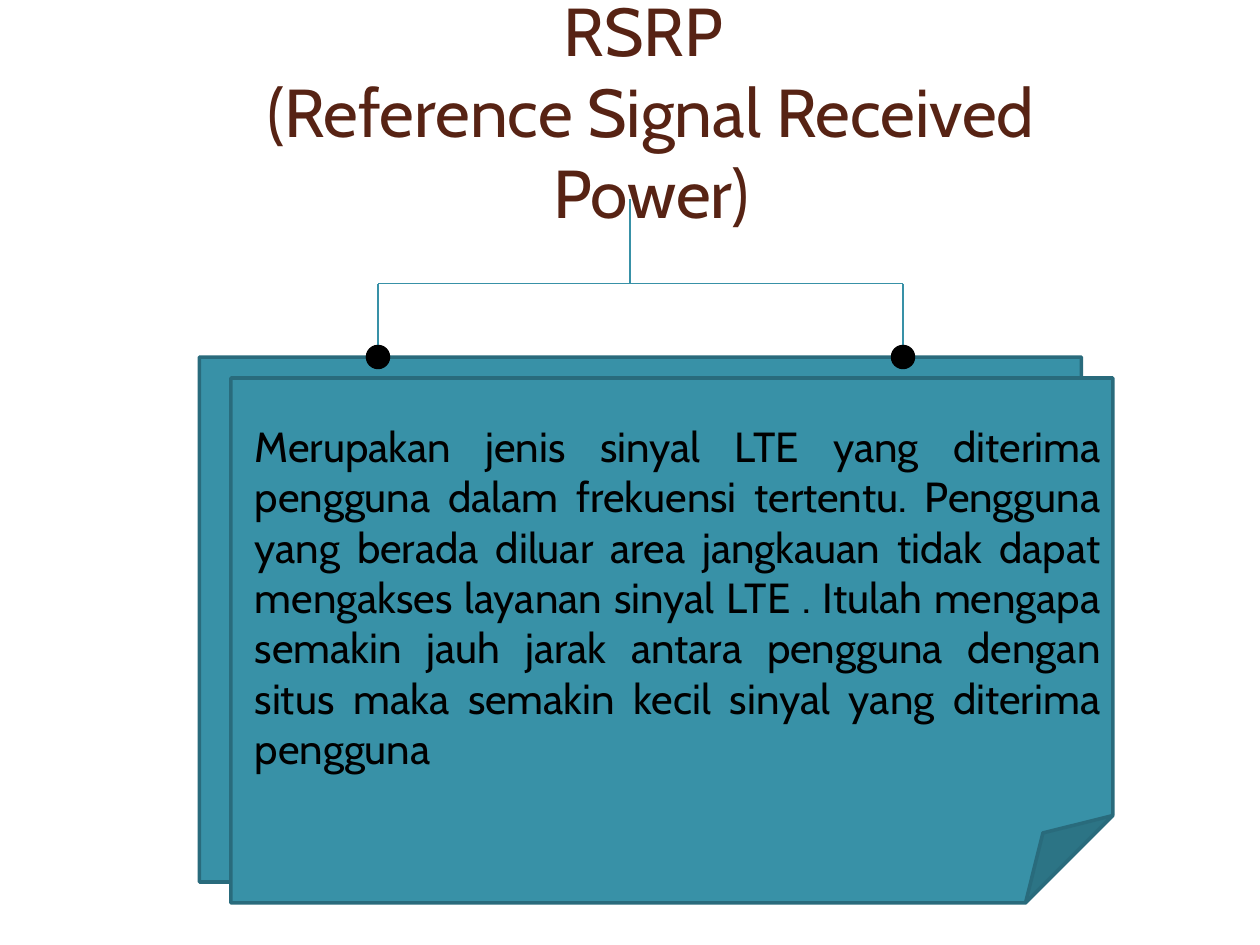
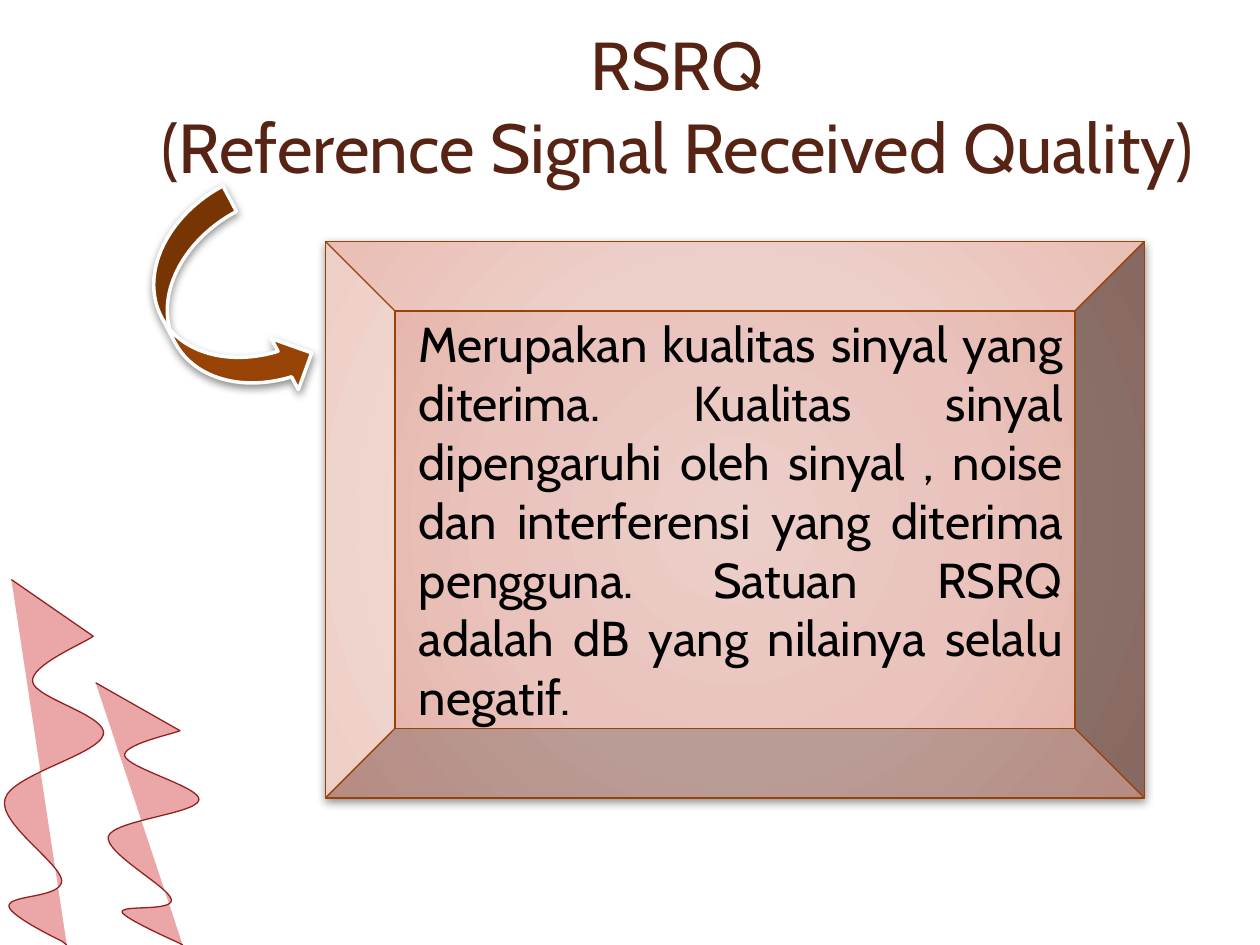
import math

from lxml import etree
from pptx import Presentation
from pptx.dml.color import RGBColor
from pptx.enum import shapes, text
from pptx.oxml import parse_xml
from pptx.oxml.ns import nsdecls, qn
from pptx.util import Pt

COLOURS = {
    "title": "572314", "ink": "000000", "white": "FFFFFF",
    "teal": "3891A7", "teal_edge": "296B7C",
    "brown": "964305", "wave": "EBA7A8", "wave_edge": "922222",
}
GLOW = ((0, "ECCEC9"), (50, "E9C3BC"), (97, "E4AFA4"), (100, "E4A89B"))
FONT = "Cabin"
TITLE_SIZE = 38.7
BODY_INDENT = 6.5
WAVE_TILT = 16.6
SHAPE = shapes.MSO_SHAPE

RSRP_TEXT = (
    "Merupakan jenis sinyal LTE yang diterima pengguna dalam frekuensi tertentu. "
    "Pengguna yang berada diluar area jangkauan tidak dapat mengakses layanan sinyal LTE . "
    "Itulah mengapa semakin jauh jarak antara pengguna dengan situs maka semakin kecil "
    "sinyal yang diterima pengguna"
)
RSRQ_TEXT = (
    "Merupakan kualitas sinyal yang diterima. Kualitas sinyal dipengaruhi oleh sinyal , "
    "noise dan interferensi yang diterima pengguna. Satuan RSRQ adalah dB yang nilainya "
    "selalu negatif."
)

TALL_WAVE = (
    ((46.8, 32.4),),
    ((41, 36.7), (10.8, 49), (12.2, 58.3)),
    ((13, 67.7), (55.4, 77.8), (52.6, 88.6)),
    ((49.7, 100), (0, 111.6), (-3.6, 125.3)),
    ((-7.9, 139), (28, 162), (28.8, 172)),
    ((28.8, 182.2), (-1.4, 180), (-1.4, 186.5)),
    ((-1.4, 192.2), (28.8, 206.6), (28.8, 206.6)),
    ((31.7, 208.8),),
)
SHORT_WAVE = (
    ((48.2, 27.4),),
    ((43.2, 29.5), (15.1, 35.3), (16.6, 41.8)),
    ((18.7, 49), (60.5, 59.8), (59, 67)),
    ((57.6, 74.9), (10.1, 78.5), (7.2, 87.8)),
    ((5, 97.2), (41.8, 116.6), (43.2, 123.8)),
    ((44.6, 131), (14.4, 126.7), (15.1, 131)),
    ((15.8, 134.6), (46.8, 148.3), (46.8, 148.3)),
    ((49.7, 149.8),),
)


def colour(name):
    return RGBColor.from_string(COLOURS[name])


def paint(shape, fill, edge, width):
    shape.shadow.inherit = False
    shape.fill.solid()
    shape.fill.fore_color.rgb = colour(fill)
    shape.line.color.rgb = colour(edge)
    shape.line.width = Pt(width)


def add_shape(page, kind, box, fill, edge, width):
    shape = page.shapes.add_shape(kind, *map(Pt, box))
    paint(shape, fill, edge, width)
    return shape


def add_shadow(shape):
    effects = shape._element.spPr.find(qn("a:effectLst"))
    effects.append(parse_xml(
        f'<a:outerShdw {nsdecls("a")} blurRad="{Pt(5)}" dist="{Pt(2)}" dir="5400000" '
        f'algn="ctr" rotWithShape="0"><a:srgbClr val="{COLOURS["ink"]}">'
        '<a:alpha val="43000"/></a:srgbClr></a:outerShdw>'))


def add_glow(shape):
    stops = "".join(
        f'<a:gs pos="{position * 1000}"><a:srgbClr val="{shade}"/></a:gs>'
        for position, shade in GLOW)
    gradient = parse_xml(
        f'<a:gradFill {nsdecls("a")} rotWithShape="1"><a:gsLst>{stops}</a:gsLst>'
        '<a:path path="circle"><a:fillToRect l="50000" t="50000" r="50000" b="50000"/>'
        '</a:path></a:gradFill>')
    properties = shape._element.spPr
    properties.replace(properties.find(qn("a:solidFill")), gradient)


def set_font(font, size, name):
    font.name = FONT
    font.size = Pt(size)
    font.color.rgb = colour(name)


def add_title(page, box, opening, *spans):
    title = page.shapes.title
    title.left, title.top, title.width, title.height = map(Pt, box)
    frame = title.text_frame
    frame.word_wrap = True
    frame.auto_size = text.MSO_AUTO_SIZE.NONE
    frame.vertical_anchor = text.MSO_ANCHOR.MIDDLE
    para = frame.paragraphs[0]
    para.text = opening
    para.alignment = text.PP_ALIGN.CENTER
    set_font(para.font, TITLE_SIZE, "title")
    for words, size in spans:
        span = para.add_run()
        span.text = words
        span.font.size = Pt(size)


def write_body(shape, words, size):
    frame = shape.text_frame
    frame.word_wrap = True
    frame.vertical_anchor = text.MSO_ANCHOR.MIDDLE
    para = frame.paragraphs[0]
    para.text = words
    para.alignment = text.PP_ALIGN.JUSTIFY
    para._p.get_or_add_pPr().set("marL", str(Pt(BODY_INDENT)))
    set_font(para.font, size, "ink")


def add_line(page, start, end):
    line = page.shapes.add_connector(
        shapes.MSO_CONNECTOR.STRAIGHT, *map(Pt, (*start, *end)))
    line.line.color.rgb = colour("teal")
    line.line.width = Pt(0.75)
    etree.SubElement(line._element.spPr, qn("a:effectLst"))


def add_notes(page, box, words):
    left, top, width, height = box
    for shift in (0, 1):
        note = add_shape(page, SHAPE.FOLDED_CORNER,
                         (left + 18 * shift, top + 12 * shift, width, height),
                         "teal", "teal_edge", 2)
    write_body(note, words, 24)


def add_hanger(page, box, stem):
    left, top, width, height = box
    right, bottom = left + width, top + height
    bar = top + 48
    for foot in (left, right):
        add_line(page, (foot, bar), (foot, bottom))
    add_line(page, (left, bar), (right, bar))
    add_line(page, (left + stem, top), (left + stem, bar))
    for foot in (left, right):
        add_shape(page, SHAPE.FLOWCHART_CONNECTOR, (foot - 6, bottom - 6, 12, 12),
                  "ink", "ink", 2)


def turn_back(point, pivot):
    angle = math.radians(WAVE_TILT)
    x, y = point[0] - pivot[0], point[1] - pivot[1]
    return (pivot[0] + x * math.cos(angle) + y * math.sin(angle),
            pivot[1] + y * math.cos(angle) - x * math.sin(angle))


def bend_segments(shape, outline):
    route = shape._element.spPr.find(".//" + qn("a:path"))
    steps = iter(list(route)[1:])
    for part in outline:
        if len(part) == 1:
            route.append(next(steps))
            continue
        curve = etree.SubElement(route, qn("a:cubicBezTo"))
        for _ in part:
            step = next(steps)
            curve.append(step[0])
            route.remove(step)


def add_wave(page, origin, outline):
    left, top = origin
    points = [(0, 0), *(point for part in outline for point in part)]
    pivot = tuple(value / 2 for value in points[-1])
    upright = [turn_back(point, pivot) for point in points]
    placed = [(Pt(left + x), Pt(top + y)) for x, y in upright]
    builder = page.shapes.build_freeform(*placed[0])
    builder.add_line_segments(placed[1:], close=False)
    wave = builder.convert_to_shape()
    bend_segments(wave, outline)
    wave.rotation = WAVE_TILT
    paint(wave, "wave", "wave_edge", 0.75)


def add_arrow(page, box):
    arrow = add_shape(page, SHAPE.CURVED_RIGHT_ARROW, box, "brown", "white", 2)
    arrow.rotation = 332
    add_shadow(arrow)


def add_frame(page, box, words):
    frame = add_shape(page, SHAPE.BEVEL, box, "white", "brown", 0.75)
    add_glow(frame)
    add_shadow(frame)
    write_body(frame, words, 28)


def new_page(deck):
    return deck.slides.add_slide(deck.slide_layouts[5])


def build_rsrp(deck):
    page = new_page(deck)
    add_title(page, (90, 0, 564, 126), "RSRP \n(Reference Signal Received Power)")
    add_notes(page, (114, 204, 504, 300), RSRP_TEXT)
    add_hanger(page, (216, 114, 300, 90), 144)


def build_rsrq(deck):
    page = new_page(deck)
    add_title(page, (84, 0, 606, 120), "RSRQ\n(",
              ("Reference Signal Received Quality", 39.6), (")", TITLE_SIZE))
    add_wave(page, (6.5, 331.2), TALL_WAVE)
    add_arrow(page, (94.3, 114.5, 66.2, 124.6))
    add_frame(page, (186, 138, 468, 318), RSRQ_TEXT)
    add_wave(page, (54.7, 390.2), SHORT_WAVE)


def main():
    deck = Presentation()
    deck.slide_width, deck.slide_height = Pt(720), Pt(540)
    build_rsrp(deck)
    build_rsrq(deck)
    deck.save("out.pptx")


if __name__ == "__main__":
    main()
